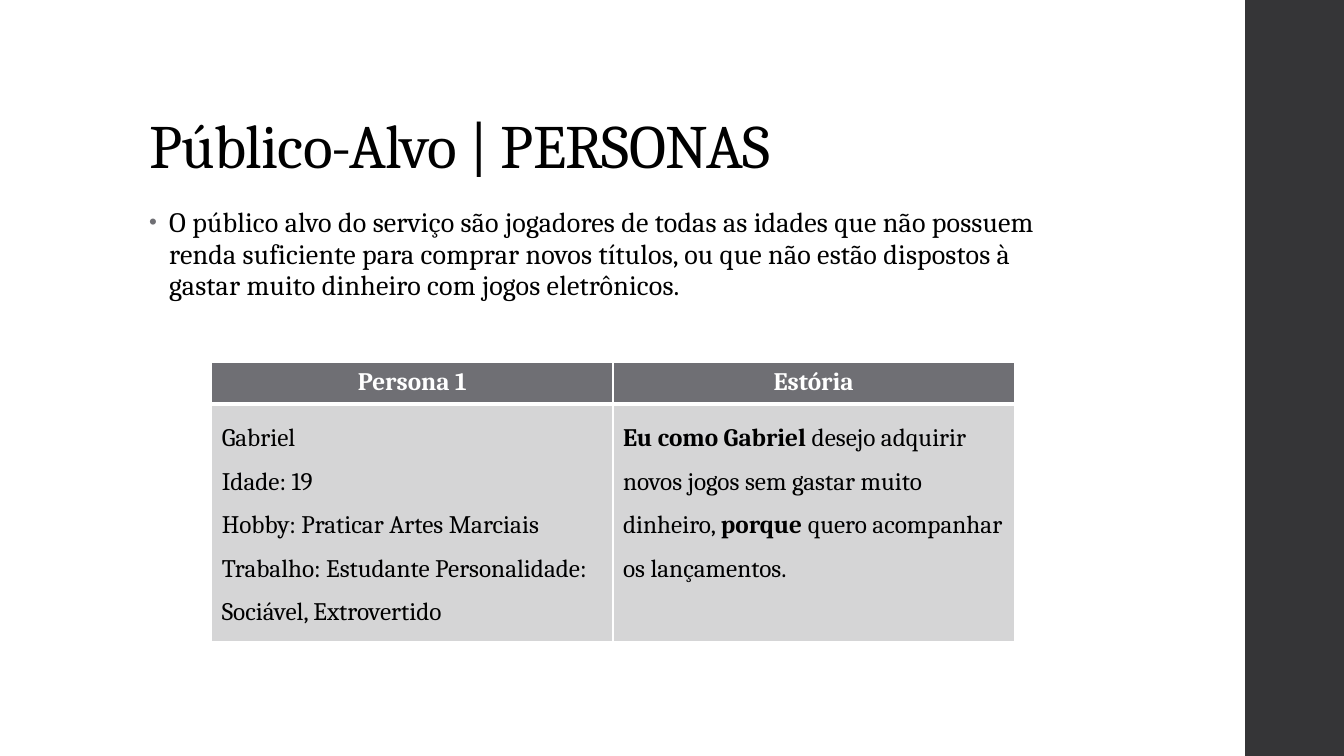
from lxml import etree
from pptx import Presentation
from pptx.dml.color import RGBColor
from pptx.enum.shapes import MSO_SHAPE
from pptx.enum.text import MSO_ANCHOR, PP_ALIGN
from pptx.oxml import parse_xml
from pptx.oxml.ns import nsdecls, qn
from pptx.util import Inches, Pt

RECTANGLE = MSO_SHAPE.RECTANGLE
BOTTOM = MSO_ANCHOR.BOTTOM
CENTER = PP_ALIGN.CENTER
LEFT = PP_ALIGN.LEFT

FONT = "Cambria"
BLACK = "000000"
WHITE = "FFFFFF"
GRAY = "6F6F74"
LIGHT_GRAY = "D5D5D6"
CHARCOAL = "353537"


def color(value):
    return RGBColor.from_string(value)


def add_run(paragraph, text, size, text_color=BLACK, bold=False, spacing=0):
    run = paragraph.add_run()
    run.text = text
    run.font.name = FONT
    run.font.size = Pt(size)
    run.font.bold = bold
    run.font.color.rgb = color(text_color)
    if spacing:
        run.font._element.set("spc", str(spacing))


presentation = Presentation()
presentation.slide_width = Inches(13.33)
presentation.slide_height = Inches(7.5)
slide = presentation.slides.add_slide(presentation.slide_layouts[6])

sidebar = slide.shapes.add_shape(
    RECTANGLE, Inches(12.35), Inches(0), Inches(0.98), Inches(7.5))
sidebar.shadow.inherit = False
sidebar.fill.solid()
sidebar.fill.fore_color.rgb = color(CHARCOAL)
sidebar.line.fill.background()

title = slide.shapes.add_textbox(
    Inches(1.38), Inches(0.4), Inches(10.6), Inches(1.45))
title.text_frame.word_wrap = True
title.text_frame.vertical_anchor = BOTTOM
paragraph = title.text_frame.paragraphs[0]
paragraph.line_spacing = 0.9
add_run(paragraph, "Público-Alvo | PERSONAS", 44, spacing=-50)

body = slide.shapes.add_textbox(
    Inches(1.38), Inches(2), Inches(9.4), Inches(4.76))
body.text_frame.word_wrap = True
paragraph = body.text_frame.paragraphs[0]
paragraph.line_spacing = 0.95
paragraph.space_before = Pt(14)
paragraph.space_after = Pt(2)
properties = paragraph._p.get_or_add_pPr()
properties.set("marL", str(Inches(0.2)))
properties.set("indent", str(Inches(-0.2)))
bullet_color = etree.SubElement(properties, qn("a:buClr"))
etree.SubElement(bullet_color, qn("a:srgbClr"), val=GRAY)
etree.SubElement(properties, qn("a:buSzPct"), val="80000")
etree.SubElement(properties, qn("a:buFont"), typeface="Arial")
etree.SubElement(properties, qn("a:buChar"), char="•")
add_run(
    paragraph,
    "O público alvo do serviço são jogadores de todas as idades que não "
    "possuem renda suficiente para comprar novos títulos, ou que não estão "
    "dispostos à gastar muito dinheiro com jogos eletrônicos.",
    20, spacing=10)

persona_rows = [
    [
        [[("Persona 1", True)]],
        [[("Estória", True)]],
    ],
    [
        [
            [("Gabriel", False)],
            [("Idade: 19", False)],
            [("Hobby: Praticar Artes Marciais", False)],
            [("Trabalho: Estudante Personalidade: Sociável, Extrovertido", False)],
        ],
        [[
            ("Eu como Gabriel ", True),
            ("desejo adquirir novos jogos sem gastar muito dinheiro, ", False),
            ("porque ", True),
            ("quero acompanhar os lançamentos.", False),
        ]],
    ],
]

table = slide.shapes.add_table(
    2, 2, Inches(2.1), Inches(3.6), Inches(7.96), Inches(2.38)).table
for column in table.columns:
    column.width = Inches(3.98)
table.rows[0].height = Inches(0.41)
table.rows[1].height = Inches(1.97)

for row_index, row in enumerate(persona_rows):
    is_header = row_index == 0
    for column_index, cell_paragraphs in enumerate(row):
        cell = table.cell(row_index, column_index)
        cell_properties = cell._tc.get_or_add_tcPr()
        for side in "LRTB":
            meets_header_rule = side == ("B" if is_header else "T")
            width = Pt(3 if meets_header_rule else 1)
            cell_properties.append(parse_xml(
                f'<a:ln{side} {nsdecls("a")} w="{width}"><a:solidFill>'
                f'<a:srgbClr val="{WHITE}"/></a:solidFill></a:ln{side}>'))
        cell.fill.solid()
        cell.fill.fore_color.rgb = color(GRAY if is_header else LIGHT_GRAY)
        for index, runs in enumerate(cell_paragraphs):
            text_frame = cell.text_frame
            paragraph = text_frame.paragraphs[0] if index == 0 else text_frame.add_paragraph()
            paragraph.alignment = CENTER if is_header else LEFT
            paragraph.line_spacing = 1.0 if is_header else 1.5
            for text, bold in runs:
                add_run(paragraph, text, 18, WHITE if is_header else BLACK, bold)

presentation.save("out.pptx")
